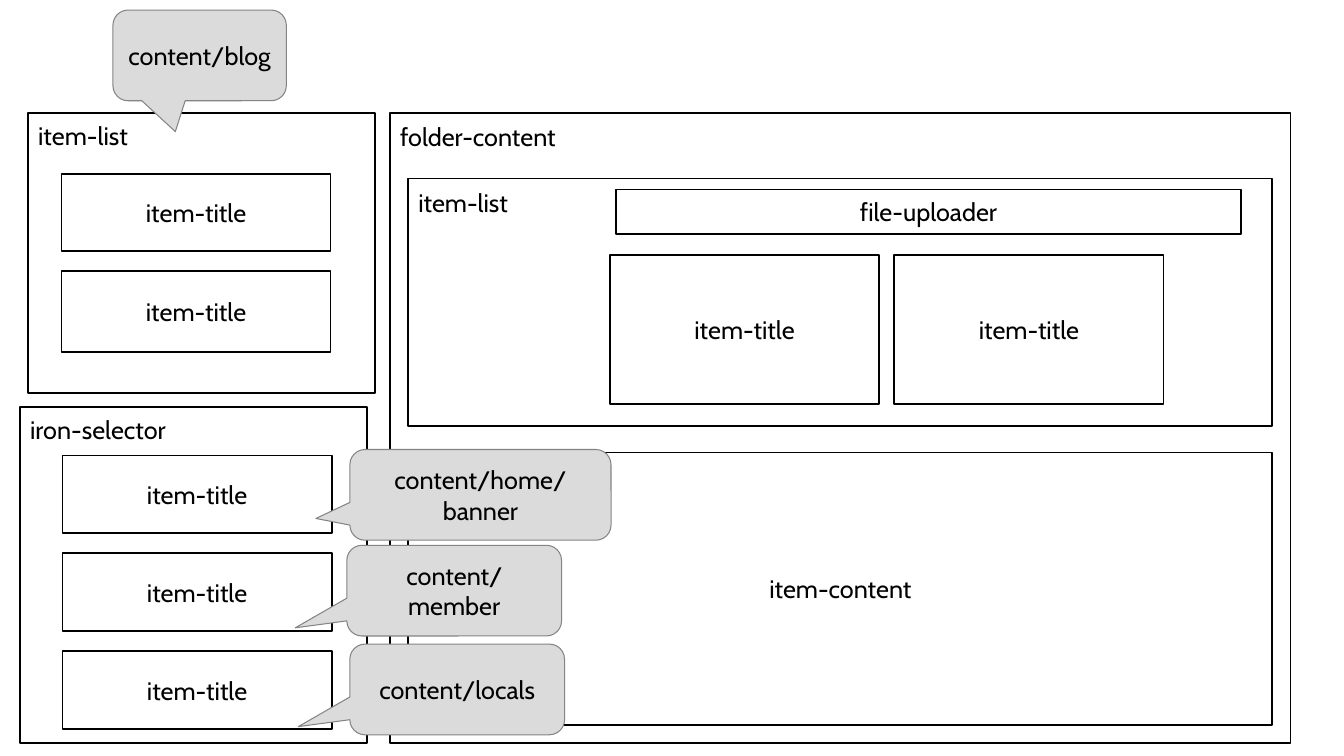
from dataclasses import dataclass

from pptx import Presentation
from pptx.dml.color import RGBColor
from pptx.enum.shapes import MSO_SHAPE
from pptx.enum.text import MSO_ANCHOR, PP_ALIGN
from pptx.util import Inches, Pt


@dataclass(frozen=True)
class Theme:
    font: str = "Cabin"
    text_size: float = 18
    text: str = "000000"
    box_fill: str = "FFFFFF"
    box_line: str = "000000"
    box_line_width: float = 1.25
    callout_fill: str = "DBDBDB"
    callout_line: str = "848484"
    callout_line_width: float = 0.75


class Diagram:
    def __init__(self, page, theme):
        self.page = page
        self.theme = theme

    def set_text(self, shape, words, alignment, anchor):
        frame = shape.text_frame
        frame.word_wrap = True
        frame.vertical_anchor = anchor
        para = frame.paragraphs[0]
        para.text = words
        para.alignment = alignment
        para.font.name = self.theme.font
        para.font.size = Pt(self.theme.text_size)
        para.font.color.rgb = RGBColor.from_string(self.theme.text)

    def shape(self, kind, area, words, fill, line, line_width):
        shape = self.page.shapes.add_shape(kind, *map(Inches, area))
        shape.shadow.inherit = False
        shape.fill.solid()
        shape.fill.fore_color.rgb = RGBColor.from_string(fill)
        shape.line.color.rgb = RGBColor.from_string(line)
        shape.line.width = Pt(line_width)
        if words:
            self.set_text(shape, words, PP_ALIGN.CENTER, MSO_ANCHOR.MIDDLE)
        return shape

    def box(self, left, top, width, height, words=""):
        theme = self.theme
        self.shape(MSO_SHAPE.RECTANGLE, (left, top, width, height), words,
                   theme.box_fill, theme.box_line, theme.box_line_width)

    def label(self, left, top, width, words):
        label = self.page.shapes.add_textbox(
            Inches(left), Inches(top), Inches(width), Inches(0.4))
        self.set_text(label, words, PP_ALIGN.LEFT, MSO_ANCHOR.TOP)

    def panel(self, left, top, width, height, title, title_drop, title_width=1.68):
        """Draw a frame with its title, title_drop below the top edge."""
        self.box(left, top, width, height)
        self.label(left, top + title_drop, title_width, title)

    def callout(self, left, top, width, words, tip):
        """Draw a balloon; tip is the pointer's offset from its centre, as shares of its size."""
        theme = self.theme
        balloon = self.shape(
            MSO_SHAPE.ROUNDED_RECTANGULAR_CALLOUT, (left, top, width, 0.9), words,
            theme.callout_fill, theme.callout_line, theme.callout_line_width)
        balloon.adjustments[0], balloon.adjustments[1] = tip


def main():
    deck = Presentation()
    deck.slide_width, deck.slide_height = Inches(13.33), Inches(7.5)
    diagram = Diagram(deck.slides.add_slide(deck.slide_layouts[6]), Theme())
    item_width = 2.67

    diagram.panel(0.2, 4.04, 3.44, 3.33, "iron-selector", 0.02)
    for row in range(3):
        diagram.box(0.62, 4.52 + row * 0.97, item_width, 0.77, "item-title")

    diagram.panel(0.28, 1.12, 3.44, 2.78, "item-list", 0.02)
    for top, height in ((1.73, 0.76), (2.69, 0.8)):
        diagram.box(0.61, top, item_width, height, "item-title")

    diagram.panel(3.87, 1.12, 8.93, 6.25, "folder-content", 0.03, 2.91)
    diagram.panel(4.05, 1.77, 8.57, 2.46, "item-list", 0.04)
    diagram.box(6.11, 1.88, 6.2, 0.44, "file-uploader")
    for column in range(2):
        diagram.box(6.05 + column * 2.82, 2.53, item_width, 1.48, "item-title")
    diagram.box(4.05, 4.49, 8.57, 2.7, "item-content")

    diagram.callout(3.47, 4.46, 2.59, "content/home/banner", (-0.63, 0.26))
    diagram.callout(3.44, 5.41, 2.13, "content/member", (-0.74, 0.41))
    diagram.callout(3.47, 6.39, 2.13, "content/locals", (-0.74, 0.41))
    diagram.callout(1.12, 0.1, 1.72, "content/blog", (-0.14, 0.84))

    deck.save("out.pptx")


if __name__ == "__main__":
    main()
